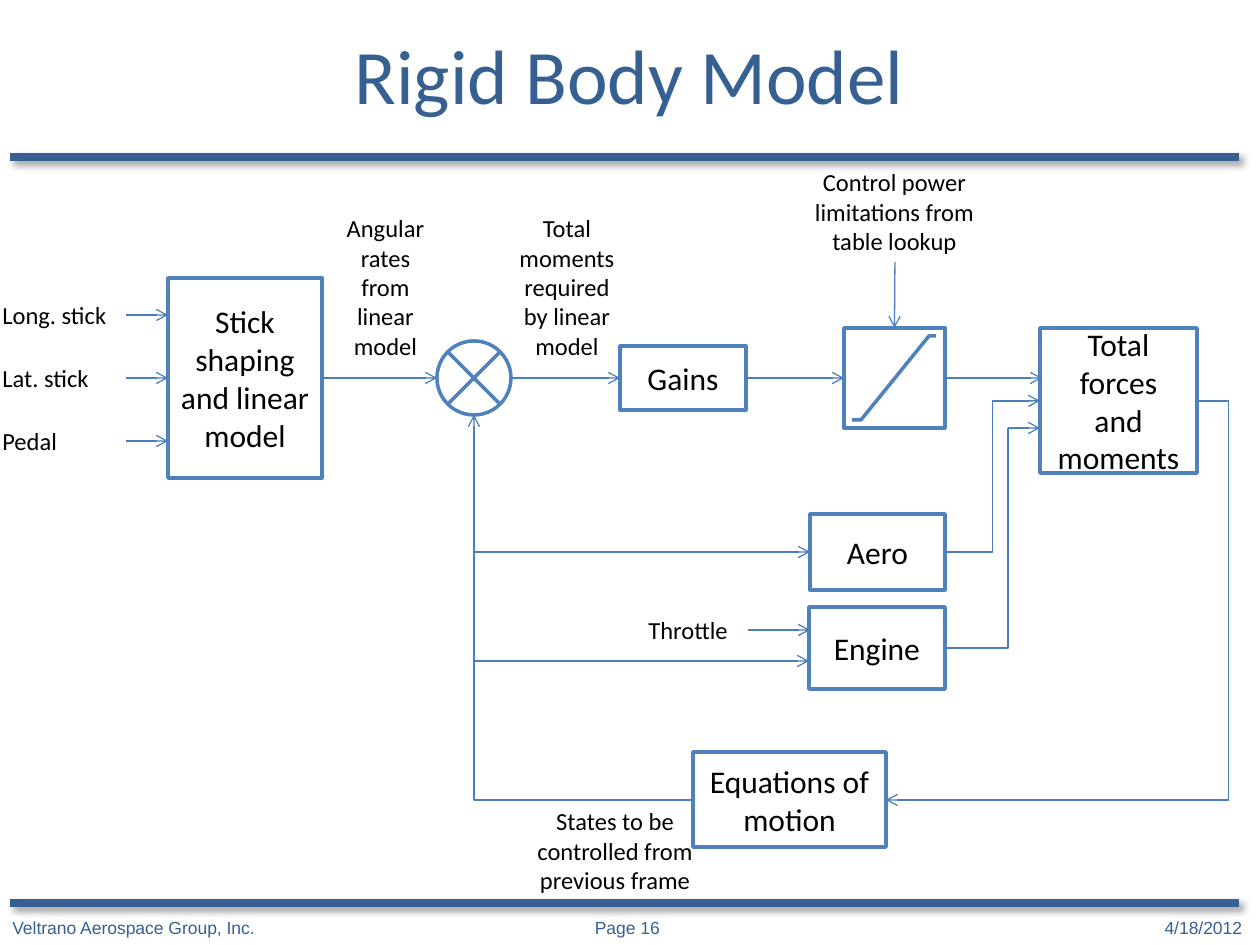
from lxml import etree
from pptx import Presentation, util as u
from pptx.dml.color import RGBColor
from pptx.enum import shapes as s, text as t
from pptx.oxml import parse_xml
from pptx.oxml.ns import nsdecls, qn

PX = 914400 // 126
NAVY = RGBColor(0x37, 0x60, 0x92)
BLUE = RGBColor(0x4F, 0x81, 0xBD)
ARROW = RGBColor(0x4B, 0x7E, 0xBC)
WHITE = RGBColor(0xFF, 0xFF, 0xFF)
BLACK = RGBColor(0, 0, 0)
TOP, LEFT, BOTTOM, RIGHT = range(4)
MIDLINE = 378  # height of the main signal path
FEEDBACK = 474  # x of the feedback path
CENTER = t.PP_ALIGN.CENTER


def px(*values):
    return [u.Emu(value * PX) for value in values]


def write(frame, words, size, color=BLACK, align=CENTER, font="Calibri"):
    frame.word_wrap = True
    frame.text = words
    for paragraph in frame.paragraphs:
        paragraph.alignment = align
        paragraph.font.size = u.Pt(size)
        paragraph.font.name = font
        paragraph.font.color.rgb = color


def add_label(slide, words, box, size=14, color=BLACK, align=CENTER,
              anchor=t.MSO_ANCHOR.TOP, font="Calibri"):
    shape = slide.shapes.add_textbox(*px(*box))
    write(shape.text_frame, words, size, color, align, font)
    shape.text_frame.vertical_anchor = anchor
    return shape


def outline(shape):
    shape.shadow.inherit = False
    shape.fill.solid()
    shape.fill.fore_color.rgb = WHITE
    shape.line.color.rgb = BLUE
    shape.line.width = u.Pt(2)


def add_block(slide, box, words="", kind=s.MSO_SHAPE.FLOWCHART_PROCESS):
    shape = slide.shapes.add_shape(kind, *px(*box))
    outline(shape)
    if words:
        write(shape.text_frame, words, 18)
        shape.text_frame.vertical_anchor = t.MSO_ANCHOR.MIDDLE
    return shape


def add_line(slide, points, kind=s.MSO_CONNECTOR.STRAIGHT, color=ARROW,
             width=0.75, arrow=True):
    line = slide.shapes.add_connector(kind, *px(*points))
    line.line.color.rgb = color
    line.line.width = u.Pt(width)
    if arrow:
        etree.SubElement(line.line._get_or_add_ln(), qn("a:tailEnd"), type="arrow")
    etree.SubElement(line._element.spPr, qn("a:effectLst"))
    return line


def add_arrow(slide, points, start=None, end=None):
    """Straight arrow; start and end are (block, side) pairs to join."""
    line = add_line(slide, points)
    if start:
        line.begin_connect(*start)
    if end:
        line.end_connect(*end)


def add_elbow(slide, points, preset="bentConnector3", bend=50000, arrow=True):
    line = add_line(slide, points, s.MSO_CONNECTOR.ELBOW, arrow=arrow)
    geometry = line._element.spPr.find(qn("a:prstGeom"))
    geometry.set("prst", preset)
    if preset == "bentConnector3":
        guides = geometry.find(qn("a:avLst"))
        if guides is None:
            guides = etree.SubElement(geometry, qn("a:avLst"))
        etree.SubElement(guides, qn("a:gd"), name="adj1", fmla=f"val {bend}")


def add_rule(slide, y):
    rule = add_line(slide, (10, y, 1239, y), color=NAVY, width=4.5, arrow=False)
    rule._element.spPr.find(qn("a:effectLst")).append(parse_xml(
        f'<a:outerShdw {nsdecls("a")} blurRad="50800" dist="38100" dir="2700000">'
        '<a:srgbClr val="000000"><a:alpha val="40000"/></a:srgbClr></a:outerShdw>'))


def add_footer(slide):
    footer = add_label(slide, "Veltrano Aerospace Group, Inc.\tPage 16\t4/18/2012",
                       (0, 911, 1260, 34), 10, NAVY, t.PP_ALIGN.LEFT, font="Arial")
    properties = footer.text_frame.paragraphs[0]._p.get_or_add_pPr()
    tabs = etree.Element(qn("a:tabLst"))
    for position, align in ((4.88, "ctr"), (9.76, "r")):
        etree.SubElement(tabs, qn("a:tab"), pos=str(u.Inches(position)), algn=align)
    properties.insert(0, tabs)


def add_limiter(slide):
    block = add_block(slide, (844, 328, 101, 100), kind=s.MSO_SHAPE.RECTANGLE)
    builder = slide.shapes.build_freeform(936, 336, scale=PX)
    builder.add_line_segments([(929, 336), (861, 420), (852, 420)], close=False)
    outline(builder.convert_to_shape())
    return block


def main():
    presentation = Presentation()
    presentation.slide_width, presentation.slide_height = u.Inches(10), u.Inches(7.5)
    slide = presentation.slides.add_slide(presentation.slide_layouts[6])

    # Frame of the page
    add_footer(slide)
    for y in (157, 903):
        add_rule(slide, y)
    add_label(slide, "Rigid Body Model", (94, 0, 1071, 147), 44, NAVY,
              anchor=t.MSO_ANCHOR.MIDDLE)

    # Blocks
    stick = add_block(slide, (168, 278, 154, 200), "Stick shaping and linear model")
    add_block(slide, (437, 341, 74, 74), kind=s.MSO_SHAPE.FLOWCHART_SUMMING_JUNCTION)
    gains = add_block(slide, (620, 346, 126, 64), "Gains")
    limiter = add_limiter(slide)
    add_block(slide, (1040, 328, 157, 145), "Total forces\nand moments")
    add_block(slide, (693, 752, 193, 95), "Equations of motion")
    aero = add_block(slide, (810, 514, 135, 76), "Aero")
    add_block(slide, (809, 607, 136, 82), "Engine")

    # Signal names
    for words, box in (
        ("Angular rates from linear model", (322, 207, 127, 161)),
        ("Total moments required by linear model", (504, 207, 126, 161)),
        ("Control power limitations from table lookup", (795, 161, 199, 102)),
        ("States to be controlled from previous frame", (506, 800, 218, 102)),
    ):
        add_label(slide, words, box)
    add_label(slide, "Throttle", (636, 609, 112, 43), align=t.PP_ALIGN.LEFT)

    # Pilot inputs
    for row, words in enumerate(("Long. stick", "Lat. stick", "Pedal")):
        y = MIDLINE + (row - 1) * 63
        add_label(slide, words, (-10, y - 84 + 63, 136, 43), align=t.PP_ALIGN.LEFT)
        add_arrow(slide, (126, y, 168, y), end=(stick, LEFT) if y == MIDLINE else None)

    # Main signal path
    for x1, x2, start, end in (
        (322, 437, (stick, RIGHT), None),
        (511, 620, None, (gains, LEFT)),
        (746, 844, (gains, RIGHT), (limiter, LEFT)),
        (945, 1042, (limiter, RIGHT), None),
    ):
        add_arrow(slide, (x1, MIDLINE, x2, MIDLINE), start, end)
    add_arrow(slide, (895, 262, 895, 328), end=(limiter, TOP))

    # Aero and engine inputs and outputs
    add_arrow(slide, (FEEDBACK, 552, 810, 552), end=(aero, LEFT))
    add_arrow(slide, (FEEDBACK, 661, 809, 661))
    add_arrow(slide, (748, 630, 810, 630))
    add_elbow(slide, (945, 552, 1040, 401))
    add_elbow(slide, (945, 648, 1008, 428), "bentConnector2", arrow=False)
    add_arrow(slide, (1008, 428, 1040, 428))

    # Feedback loop
    add_elbow(slide, (1197, 401, 886, 800), bend=-10100)
    add_elbow(slide, (693, 800, FEEDBACK, 415), "bentConnector2")

    presentation.save("out.pptx")


if __name__ == "__main__":
    main()
